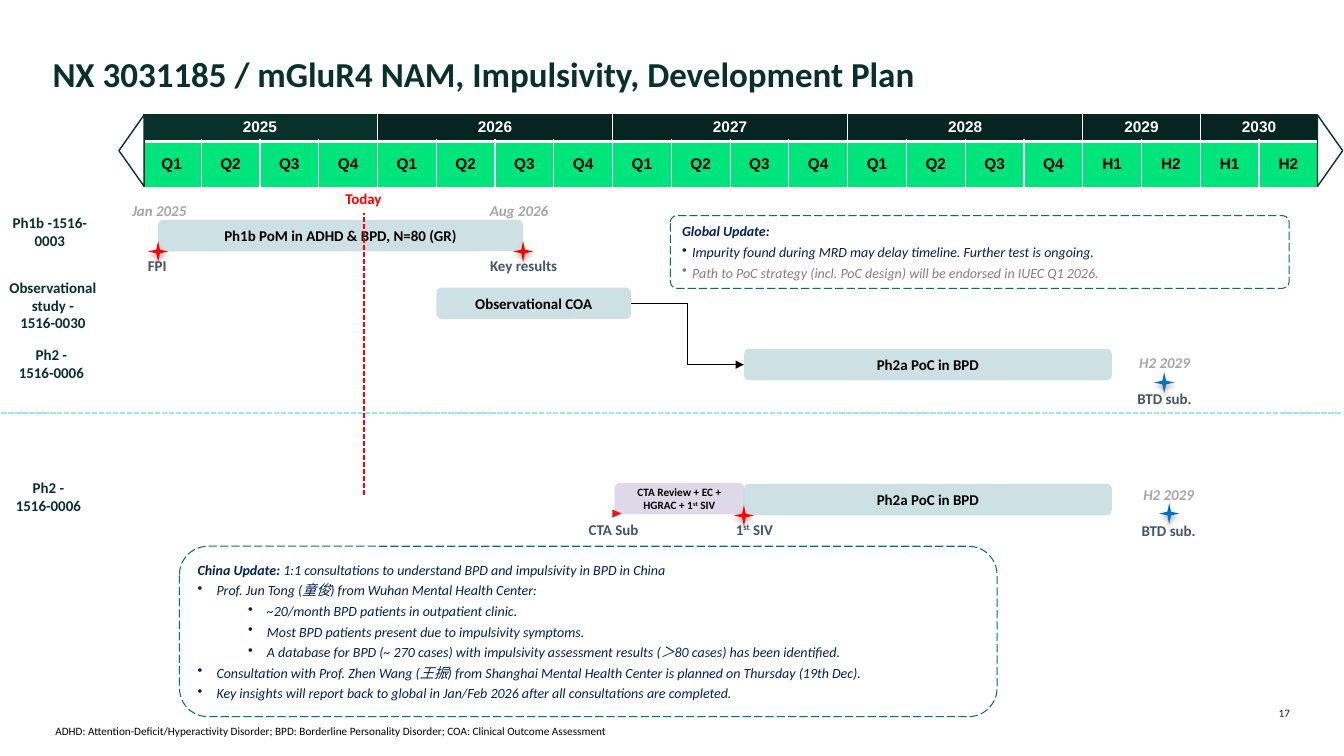
from lxml import etree
from pptx import Presentation
from pptx.dml.color import RGBColor
from pptx.enum.dml import MSO_LINE
from pptx.enum.shapes import MSO_CONNECTOR, MSO_SHAPE
from pptx.enum.text import MSO_ANCHOR, MSO_AUTO_SIZE, PP_ALIGN
from pptx.oxml.ns import qn
from pptx.util import Pt

LEFT, CENTER, RIGHT = PP_ALIGN.LEFT, PP_ALIGN.CENTER, PP_ALIGN.RIGHT
TOP, MIDDLE, BOTTOM = MSO_ANCHOR.TOP, MSO_ANCHOR.MIDDLE, MSO_ANCHOR.BOTTOM
ROUND, STAR = MSO_SHAPE.ROUNDED_RECTANGLE, MSO_SHAPE.STAR_4_POINT
TRI, MERGE = MSO_SHAPE.ISOSCELES_TRIANGLE, MSO_SHAPE.FLOWCHART_MERGE
DOTS, DASH = MSO_LINE.SQUARE_DOT, MSO_LINE.LONG_DASH
STRAIGHT, ELBOW = MSO_CONNECTOR.STRAIGHT, MSO_CONNECTOR.ELBOW

HEX = {
    "white": "FFFFFF", "black": "000000", "dark": "08312A", "deep": "062520",
    "green": "00E47C", "teal": "076D7E", "purple": "5D4495", "pale": "A3E5EE",
    "slate": "44546A", "gray": "A6A6A6", "mute": "808080", "navy": "002060",
    "red": "FF0000", "flag": "EA161E", "blue": "0070C0",
}
RGB = {name: RGBColor.from_string(code) for name, code in HEX.items()}

deck = Presentation()
deck.slide_width, deck.slide_height = Pt(960), Pt(540)
slide = deck.slides.add_slide(deck.slide_layouts[1])
shapes = slide.shapes


def write(frame, text, size=10.7, color="dark", bold=True, italic=False,
          font="Calibri", align=CENTER, anchor=TOP, inset=(0, 0), wrap=True,
          after=0, pitch=None, hang=None, indent=0, level=0):
    """Add one paragraph per line; text between ^ marks is superscript."""
    frame.auto_size = MSO_AUTO_SIZE.NONE
    frame.word_wrap, frame.vertical_anchor = wrap, anchor
    frame.margin_left = frame.margin_right = Pt(inset[0])
    frame.margin_top = frame.margin_bottom = Pt(inset[1])
    for row in text.split("\n"):
        first = frame.paragraphs[0]
        para = frame.add_paragraph() if first.runs else first
        prop = para._p.get_or_add_pPr()
        prop.set("marL", str(Pt(indent)))
        prop.set("indent", str(Pt(-(hang or 0))))
        if hang:
            etree.SubElement(prop, qn("a:buChar"), char="•")
        else:
            etree.SubElement(prop, qn("a:buNone"))
        para.alignment, para.level = align, level
        para.space_before, para.space_after = Pt(0), Pt(after)
        if pitch:
            para.line_spacing = Pt(pitch)
        for i, part in enumerate(row.split("^")):
            run = para.add_run()
            run.text = part
            run.font.name, run.font.size = font, Pt(size)
            run.font.bold, run.font.italic = bold, italic
            run.font.color.rgb = RGB[color]
            if i % 2:
                run._r.get_or_add_rPr().set("baseline", "30000")
    return para


def draw(kind, x, y, w, h, fill, line=None, width=0.75, dash=None, alpha=None):
    shape = shapes.add_shape(kind, Pt(x), Pt(y), Pt(w), Pt(h))
    shape.shadow.inherit = False
    shape.fill.solid()
    shape.fill.fore_color.rgb = RGB[fill]
    if alpha:
        tint = shape._element.spPr.find(".//" + qn("a:srgbClr"))
        etree.SubElement(tint, qn("a:alpha"), val=str(alpha * 1000))
    if line:
        shape.line.color.rgb = RGB[line]
        shape.line.width = Pt(width)
        shape.line.dash_style = dash
    else:
        shape.line.fill.background()
    return shape


# Title, footnote and page number
title, note = shapes.title, slide.placeholders[1]
title.left, title.top, title.width, title.height = Pt(37.5), Pt(37.5), Pt(884), Pt(57)
write(title.text_frame, "NX 3031185 / mGluR4 NAM, Impulsivity, Development Plan",
      size=25, align=LEFT)
note.left, note.top, note.width, note.height = Pt(39.5), Pt(515.5), Pt(884), Pt(11.5)
write(note.text_frame, "ADHD: Attention-Deficit/Hyperactivity Disorder; BPD: Borderline "
      "Personality Disorder; COA: Clinical Outcome Assessment",
      size=8, color="black", bold=False, align=LEFT, anchor=BOTTOM)
page = shapes.add_textbox(Pt(899.5), Pt(492), Pt(22), Pt(22))
write(page.text_frame, "17", size=8, bold=False, align=RIGHT, anchor=BOTTOM)

# Calendar table
YEARS = [("2025", 4), ("2026", 4), ("2027", 4), ("2028", 4), ("2029", 2), ("2030", 2)]
grid = shapes.add_table(2, 20, Pt(101.7), Pt(80.8), Pt(840), Pt(53.2)).table
grid.first_row = grid.horz_banding = False
grid.rows[0].height, grid.rows[1].height = Pt(20.2), Pt(33)
for col in grid.columns:
    col.width = Pt(42)
start = 0
for year, span in YEARS:
    head = grid.cell(0, start)
    head.merge(grid.cell(0, start + span - 1))
    write(head.text_frame, year, size=11, color="white", font="Arial")
    for i in range(span):
        write(grid.cell(1, start + i).text_frame, f"{'Q' if span == 4 else 'H'}{i + 1}",
              size=11, color="black", font="Arial")
    start += span
for r in range(2):
    for c in range(20):
        cell = grid.cell(r, c)
        cell.vertical_anchor = MIDDLE
        cell.margin_left = cell.margin_right = Pt(7.2)
        cell.margin_top = cell.margin_bottom = Pt(3.6)
        cell.fill.solid()
        cell.fill.fore_color.rgb = RGB["green" if r else "deep" if c > 3 else "dark"]
        prop = cell._tc.get_or_add_tcPr()
        for i, side in enumerate("LRTB"):
            thick = 3 if side == "BT"[r] else 1
            edge = etree.Element(qn(f"a:ln{side}"), w=str(Pt(thick)))
            paint = etree.SubElement(edge, qn("a:solidFill"))
            etree.SubElement(paint, qn("a:srgbClr"), val=HEX["white"])
            prop.insert(i, edge)

# Calendar end points
for x, turn in [(68.4, 270), (924.5, 90)]:
    draw(TRI, x, 98.6, 51.1, 18, "white", line="dark", width=1).rotation = turn

# Study names
for text, x, y, w, h in [
    ("Ph1b -1516-0003", 5, 152.6, 61.2, 26),
    ("Observational study -\n1516-0030", -3.6, 198.7, 82.8, 39),
    ("Ph2 -\n1516-0006", 4.3, 247, 64.8, 26),
    ("Ph2 -\n1516-0006", 2.2, 342, 64.8, 26),
]:
    write(shapes.add_textbox(Pt(x), Pt(y), Pt(w), Pt(h)).text_frame, text)

# Study bars
bars = []
for text, x, y, w, fill, size in [
    ("Ph1b PoM in ADHD & BPD, N=80 (GR)", 113, 157, 260.6, "teal", 10.7),
    ("Observational COA", 311.8, 205.4, 139, "teal", 10.7),
    ("Ph2a PoC in BPD", 531.4, 249.2, 262.8, "teal", 10.7),
    ("CTA Review + EC + HGRAC + 1^st^ SIV", 439, 345, 92.6, "purple", 8),
    ("Ph2a PoC in BPD", 531.4, 345.6, 262.8, "teal", 10.7),
]:
    bar = draw(ROUND, x, y, w, 22.5, fill, alpha=20)
    write(bar.text_frame, text, size=size, color="black", anchor=MIDDLE,
          inset=(9.4, 5) if size > 8 else (7.2, 3.6))
    bars.append(bar)

# Dates and event labels
for text, x, y, w in [("Jan 2025", 72, 143.5, 83.5), ("Aug 2026", 334.8, 143.5, 72)]:
    box = shapes.add_textbox(Pt(x), Pt(y), Pt(w), Pt(13))
    write(box.text_frame, text, color="gray", italic=True, anchor=MIDDLE)
for text, x, y, w, color in [
    ("FPI", 97.2, 180, 30.2, "slate"), ("Key results", 337.7, 180, 72.7, "slate"),
    ("1^st^ SIV", 514, 368, 49.7, "slate"), ("Today", 236.2, 131.8, 46.8, "red"),
]:
    box = shapes.add_textbox(Pt(x), Pt(y), Pt(w), Pt(20.2))
    write(box.text_frame, text, color=color, inset=(7.2, 3.6), wrap=False)
box = shapes.add_textbox(Pt(420.5), Pt(371.5), Pt(73.4), Pt(13))
write(box.text_frame, "CTA Sub", color="slate", align=LEFT, anchor=MIDDLE)
for x, y in [(800.6, 249.1), (803.5, 343.4)]:
    frame = shapes.add_textbox(Pt(x), Pt(y), Pt(62.6), Pt(46.1)).text_frame
    write(frame, "H2 2029", color="gray", italic=True, inset=(7.2, 3.6), wrap=False)
    last = write(frame, "BTD sub.", color="slate", inset=(7.2, 3.6), wrap=False)
    last.space_before = Pt(13)

# Section rule, today line and study link
for kind, x1, y1, x2, y2, color, width, dash in [
    (STRAIGHT, 957.6, 295.2, 0, 295.2, "pale", 1.25, DOTS),
    (STRAIGHT, 260, 353.5, 260, 152, "red", 1.25, DOTS),
    (ELBOW, 450.8, 216.6, 531.4, 260.4, "black", 0.5, None),
]:
    line = shapes.add_connector(kind, Pt(x1), Pt(y1), Pt(x2), Pt(y2))
    line.line.color.rgb = RGB[color]
    line.line.width, line.line.dash_style = Pt(width), dash
    if kind == ELBOW:
        line.begin_connect(bars[1], 3)
        line.end_connect(bars[2], 1)
        etree.SubElement(line.line._get_or_add_ln(), qn("a:tailEnd"), type="triangle")
    etree.SubElement(line._element.spPr, qn("a:effectLst"))

# Milestone stars and submission flag
for x, y, color in [
    (105.8, 172.1, "red"), (366.5, 172.1, "red"), (524.2, 360.7, "red"),
    (824.4, 265.7, "blue"), (828, 359.3, "blue"),
]:
    star = draw(STAR, x, y, 14.4, 15.1, color)
    star.adjustments[0] = 0.125
    glow = etree.SubElement(star._element.spPr.find(qn("a:effectLst")), qn("a:outerShdw"),
                            blurRad=str(Pt(3.5)), dist=str(Pt(2.2)), dir="5400000")
    shade = etree.SubElement(glow, qn("a:srgbClr"), val=HEX["black"])
    etree.SubElement(shade, qn("a:alpha"), val="32000")
draw(MERGE, 437.8, 363.6, 5.8, 6.5, "flag").rotation = 270

# Update panels
NOTE = dict(size=10, color="navy", italic=True, align=LEFT, anchor=MIDDLE,
            inset=(7.2, 3.6), after=2.7)
china = draw(ROUND, 128.2, 390.2, 584, 121.7, "white", line="teal", dash=DASH)
head = write(china.text_frame, "China Update: ^", **NOTE)
lead = head.runs[1]
lead.text = "1:1 consultations to understand BPD and impulsivity in BPD in China"
lead.font.bold = False
lead._r.get_or_add_rPr().set("baseline", "0")
for level, text in [
    (0, "Prof. Jun Tong (童俊) from Wuhan Mental Health Center:"),
    (1, "~20/month BPD patients in outpatient clinic."),
    (1, "Most BPD patients present due to impulsivity symptoms."),
    (1, "A database for BPD (~ 270 cases) with impulsivity assessment results "
        "(＞80 cases) has been identified."),
    (0, "Consultation with Prof. Zhen Wang (王振) from Shanghai Mental Health Center "
        "is planned on Thursday (19th Dec)."),
    (0, "Key insights will report back to global in Jan/Feb 2026 after all "
        "consultations are completed."),
]:
    write(china.text_frame, text, bold=False, hang=13.5, indent=13.5 + 36 * level,
          level=level, **NOTE)

world = draw(ROUND, 478.8, 154, 442, 52, "white", line="teal", dash=DASH)
world.adjustments[0] = 0.09
write(world.text_frame, "Global Update:", pitch=12, **NOTE)
for color, text in [
    ("navy", "Impurity found during MRD may delay timeline. Further test is ongoing."),
    ("mute", "Path to PoC strategy (incl. PoC design) will be endorsed in IUEC Q1 2026."),
]:
    write(world.text_frame, text, bold=False, pitch=12, hang=7.2, indent=7.2,
          **{**NOTE, "color": color})

deck.save("out.pptx")
